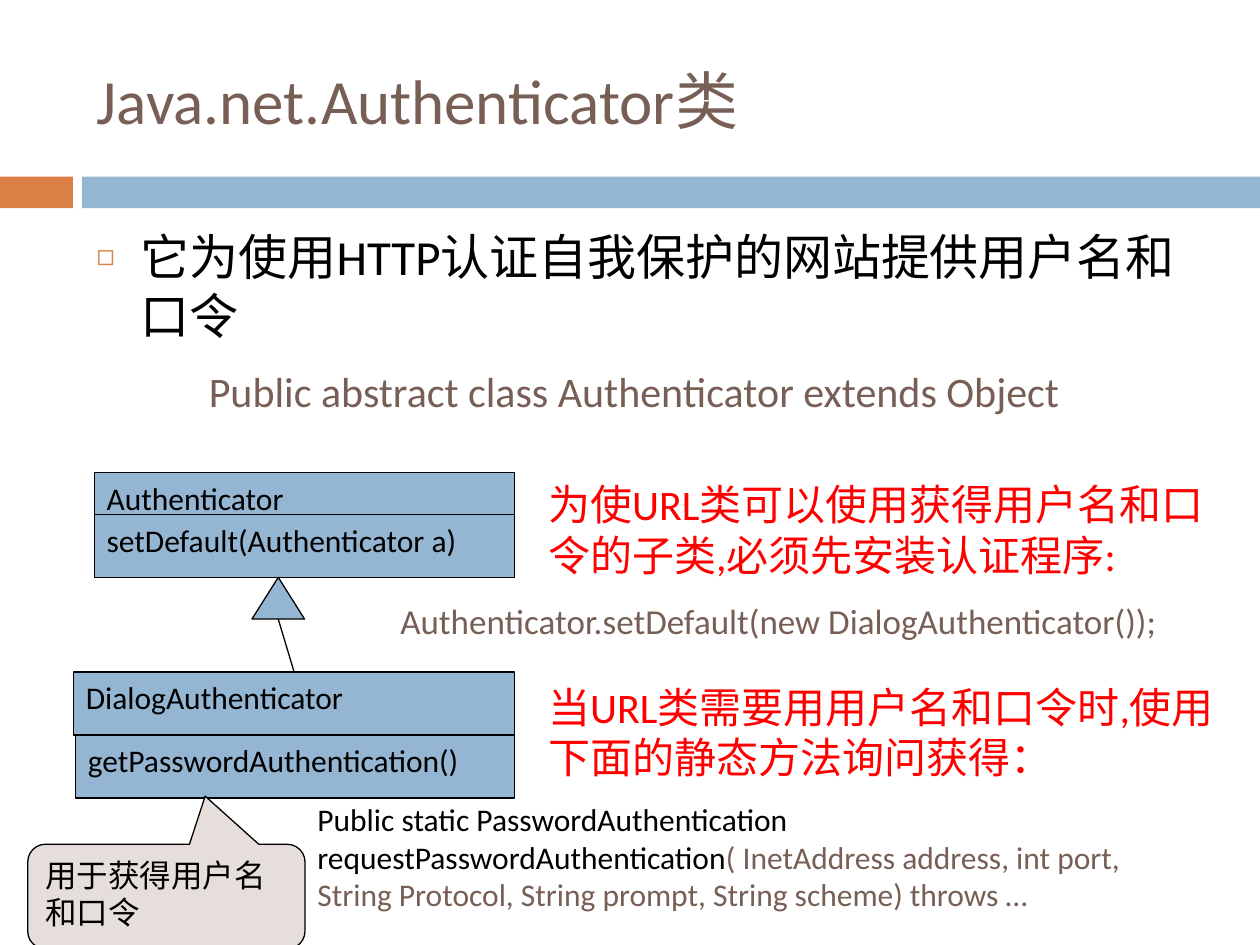
from lxml import etree
from pptx import Presentation
from pptx import util as u
from pptx.dml import color
from pptx.enum import shapes, text
from pptx.oxml import ns

HUES = {"blue": "94B6D2", "rust": "DD8047", "brown": "775F55",
        "sand": "E6DEDB", "black": "000000", "red": "FF0000"}
KIND = shapes.MSO_SHAPE


def hue(name):
    """Return the named colour."""
    return color.RGBColor.from_string(HUES[name])


def style(para, size, tint=None):
    """Set the font and left alignment of a paragraph."""
    para.alignment = text.PP_ALIGN.LEFT
    para.font.name = "Calibri"
    para.font.size = u.Pt(size)
    if tint:
        para.font.color.rgb = hue(tint)


def note(slide, box, words, size, tint=None):
    """Add a wrapped text box and return its first paragraph."""
    frame = slide.shapes.add_textbox(*map(u.Cm, box)).text_frame
    frame.word_wrap = True
    para = frame.paragraphs[0]
    para.text = words
    style(para, size, tint)
    return para


def block(slide, kind, box, fill="blue", words="", line=True):
    """Add a flat shape, with an outline and words if wanted."""
    shape = slide.shapes.add_shape(kind, *map(u.Cm, box))
    shape.shadow.inherit = False
    shape.fill.solid()
    shape.fill.fore_color.rgb = hue(fill)
    if line:
        shape.line.color.rgb = hue("black")
        shape.line.width = u.Pt(0.75)
    else:
        shape.line.fill.background()
    if words:
        frame = shape.text_frame
        frame.word_wrap = True
        frame.vertical_anchor = text.MSO_ANCHOR.TOP
        frame.text = words
        style(frame.paragraphs[0], 18, "black")
    return shape


def header(slide, box, words):
    """Place the title over the two-colour band."""
    left, top, width, height = box
    block(slide, KIND.RECTANGLE, (left, top + 3.56, 1.47, 0.64), "rust", line=False)
    block(slide, KIND.RECTANGLE, (left + 1.65, top + 3.56, width - 1.65, 0.64), line=False)
    title = slide.shapes.title
    title.left, title.top = u.Cm(left + 1.7), u.Cm(top + 0.64)
    title.width, title.height = u.Cm(22.66), u.Cm(height - 1.46)
    title.text_frame.text = words
    title.text_frame.vertical_anchor = text.MSO_ANCHOR.MIDDLE
    style(title.text_frame.paragraphs[0], 36, "brown")


def intro(slide, box):
    """Place the bulleted statement and the class declaration."""
    left, top, width, height = box
    para = note(slide, box, "它为使用HTTP认证自我保护的网站提供用户名和口令", 28, "black")
    para.space_before = u.Pt(7)
    props = para._p.get_or_add_pPr()
    props.set("marL", str(u.Cm(0.89)))
    props.set("indent", str(u.Cm(-0.89)))
    last = props.find(ns.qn("a:defRPr"))
    tint = etree.Element(ns.qn("a:buClr"))
    etree.SubElement(tint, ns.qn("a:srgbClr"), val=HUES["rust"])
    last.addprevious(tint)
    for tag, key, val in (("a:buSzPct", "val", "60000"),
                          ("a:buFont", "typeface", "Calibri"),
                          ("a:buChar", "char", "◻")):
        last.addprevious(etree.Element(ns.qn(tag), {key: val}))
    note(slide, (left + 2.26, top + 2.79, 20.32, 1.3),
         "Public abstract class Authenticator extends Object", 24, "brown")


def diagram(slide, box):
    """Draw the two classes, their inheritance arrow and the callout."""
    left, top, width, height = box
    right = left + width
    for x, y, tall, words in (
            (1.34, 0, 0.84, "Authenticator"),
            (1.34, 0.84, 1.27, "setDefault(Authenticator a)"),
            (0.92, 4.02, 1.27, "DialogAuthenticator"),
            (0.96, 5.29, 1.27, "getPasswordAuthentication()")):
        block(slide, KIND.RECTANGLE,
              (left + x, top + y, right - left - x, tall), words=words)
    block(slide, KIND.ISOSCELES_TRIANGLE, (left + 4.52, top + 2.11, 1.06, 0.84))
    ends = (left + 5.05, top + 2.95, left + 5.37, top + 4.02)
    link = slide.shapes.add_connector(shapes.MSO_CONNECTOR.STRAIGHT, *map(u.Cm, ends))
    link.line.color.rgb = hue("black")
    link.line.width = u.Pt(0.75)
    etree.SubElement(link._element.spPr, ns.qn("a:effectLst"))
    call = block(slide, KIND.ROUNDED_RECTANGULAR_CALLOUT,
                 (left, top + height - 2.11, 5.59, 2.11), "sand", "用于获得用户名和口令")
    for spot, val in enumerate((0.14, -0.96, 0.17)):
        call.adjustments[spot] = val


def usage(slide, box):
    """Place the red explanations and the code that goes with them."""
    left, top, width, height = box
    first = note(slide, (left + 4.65, top, 14.17, 6.4),
                 "为使URL类可以使用获得用户名和口令的子类,必须先安装认证程序:", 24, "red")
    frame = first._parent
    para = frame.add_paragraph()
    para.text = "当URL类需要用用户名和口令时,使用下面的静态方法询问获得："
    para.space_before = u.Pt(58)
    style(para, 24, "red")
    note(slide, (left + 1.67, top + 2.43, 18.21, 1.12),
         "Authenticator.setDefault(new DialogAuthenticator());", 20, "brown")
    code = note(slide, (left, top + height - 2.57, 18.21, 2.57), "", 18)
    for words, tint in (
            ("Public static PasswordAuthentication requestPasswordAuthentication", "black"),
            ("( InetAddress address, int port, String Protocol, String prompt, "
             "String scheme) throws …", "brown")):
        run = code.add_run()
        run.text = words
        run.font.color.rgb = hue(tint)


def main():
    """Build and save the slide."""
    deck = Presentation()
    deck.slide_width, deck.slide_height = u.Cm(25.4), u.Cm(19.05)
    slide = deck.slides.add_slide(deck.slide_layouts[5])
    header(slide, (0, 0, 25.4, 4.2), "Java.net.Authenticator类")
    intro(slide, (1.7, 4.45, 22.66, 4.1))
    diagram(slide, (0.56, 9.53, 9.81, 9.6))
    usage(slide, (6.15, 9.53, 18.82, 9.04))
    deck.save("out.pptx")


if __name__ == "__main__":
    main()
